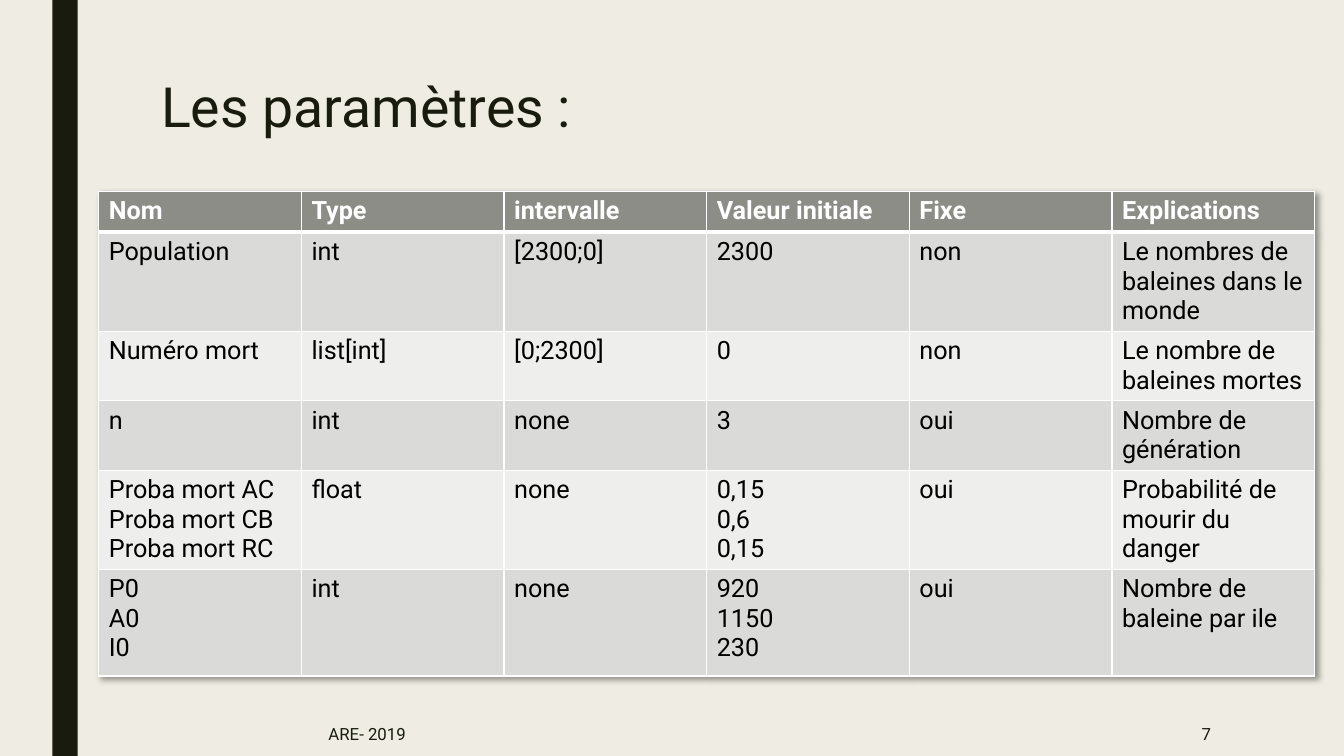
"""Build a slide that tabulates the parameters of a whale population model."""
from dataclasses import dataclass

from lxml.etree import SubElement
from pptx import Presentation
from pptx.dml.color import RGBColor
from pptx.enum.shapes import MSO_SHAPE
from pptx.enum.text import MSO_ANCHOR, PP_ALIGN
from pptx.oxml import parse_xml
from pptx.oxml.ns import nsdecls, qn
from pptx.util import Emu, Inches, Pt

WIDTH, HEIGHT = Inches(13.33), Inches(7.5)
FONT = "Roboto"
PAPER, INK, WHITE, BLACK = "EFEDE3", "191B0E", "FFFFFF", "000000"
HEADER_FILL, BAND_FILLS = "8C8D86", ("DADBD9", "EEEEED")


@dataclass(frozen=True)
class Box:
    """Place on the slide, in percent of its width and height."""

    x: float
    y: float
    w: float
    h: float

    def emu(self) -> tuple[Emu, Emu, Emu, Emu]:
        """Return left, top, width and height."""
        return across(self.x), down(self.y), across(self.w), down(self.h)


@dataclass(frozen=True)
class Label:
    """Free text with its place and format."""

    text: str
    box: Box
    size: float
    anchor: MSO_ANCHOR = MSO_ANCHOR.MIDDLE
    align: PP_ALIGN = PP_ALIGN.LEFT
    spacing: float = 1.0


@dataclass(frozen=True)
class Row:
    """Table row with its height in percent of the slide."""

    height: float
    cells: tuple[str, ...]


BAND = Box(3.9, 0, 1.88, 100)
TABLE = Box(7.35, 25.33, 90.47, 64.1)
LABELS = (
    Label("Les paramètres :", Box(11.25, 10, 32.26, 10.67), 39.6, MSO_ANCHOR.TOP, spacing=0.89),
    Label("ARE- 2019", Box(23.7, 94.13, 51.54, 5.87), 12),
    Label("7", Box(77.72, 94.13, 13.13, 5.87), 12, align=PP_ALIGN.RIGHT),
)
ROWS = (
    Row(5.4, ("Nom", "Type", "intervalle", "Valeur initiale", "Fixe", "Explications")),
    Row(13.1, ("Population", "int", "[2300;0]", "2300", "non",
               "Le nombres de baleines dans le monde")),
    Row(9.2, ("Numéro mort", "list[int]", "[0;2300]", "0", "non",
              "Le nombre de baleines mortes")),
    Row(9.2, ("n", "int", "none", "3", "oui", "Nombre de génération")),
    Row(13.1, ("Proba mort AC\nProba mort CB\nProba mort RC", "float", "none",
               "0,15\n0,6\n0,15", "oui", "Probabilité de mourir du danger")),
    Row(14.1, ("P0\nA0\nI0", "int", "none", "920\n1150\n230", "oui",
               "Nombre de baleine par ile")),
)


def across(share: float) -> Emu:
    """Turn a percentage of the slide's width into a length."""
    return Emu(round(WIDTH * share / 100))


def down(share: float) -> Emu:
    """Turn a percentage of the slide's height into a length."""
    return Emu(round(HEIGHT * share / 100))


def paint(fill, color: str) -> None:
    """Give a fill one solid colour."""
    fill.solid()
    fill.fore_color.rgb = RGBColor.from_string(color)


def write(tf, text: str, *, size: float, color: str, bold: bool = False,
          align: PP_ALIGN = PP_ALIGN.LEFT, spacing: float = 1.0) -> None:
    """Write text into a frame, one paragraph a line."""
    tf.word_wrap = True
    for i, line in enumerate(text.split("\n")):
        p = tf.add_paragraph() if i else tf.paragraphs[0]
        p.alignment, p.line_spacing = align, spacing
        r = p.add_run()
        r.text = line
        r.font.name, r.font.size, r.font.bold = FONT, Pt(size), bold
        r.font.color.rgb = RGBColor.from_string(color)


def add_label(slide, label: Label) -> None:
    """Add a text box."""
    tf = slide.shapes.add_textbox(*label.box.emu()).text_frame
    tf.vertical_anchor = label.anchor
    write(tf, label.text, size=label.size, color=INK, align=label.align, spacing=label.spacing)


def add_borders(cell, top: float, bottom: float) -> None:
    """Draw white lines around a cell, with widths in points."""
    tc_pr = cell._tc.get_or_add_tcPr()
    for side, width in (("L", 1), ("R", 1), ("T", top), ("B", bottom)):
        ln = SubElement(tc_pr, qn(f"a:ln{side}"), w=str(Pt(width)))
        SubElement(SubElement(ln, qn("a:solidFill")), qn("a:srgbClr"), val=WHITE)


def add_shadow(table) -> None:
    """Give the table a soft shadow to the lower right."""
    table._tbl.tblPr.insert(0, parse_xml(
        f'<a:effectLst {nsdecls("a")}><a:outerShdw blurRad="50800" dist="38100" dir="2700000" '
        'algn="tl" rotWithShape="0"><a:srgbClr val="000000"><a:alpha val="40000"/></a:srgbClr>'
        '</a:outerShdw></a:effectLst>'))


def add_parameters(slide) -> None:
    """Add the table of parameters."""
    table = slide.shapes.add_table(len(ROWS), len(ROWS[0].cells), *TABLE.emu()).table
    add_shadow(table)
    for column in table.columns:
        column.width = across(TABLE.w / len(table.columns))
    for i, row in enumerate(ROWS):
        header = i == 0
        table.rows[i].height = down(row.height)
        for j, text in enumerate(row.cells):
            cell = table.cell(i, j)
            add_borders(cell, top=3 if i == 1 else 1, bottom=3 if header else 1)
            paint(cell.fill, HEADER_FILL if header else BAND_FILLS[(i - 1) % 2])
            write(cell.text_frame, text, size=18, color=WHITE if header else BLACK, bold=header)


def main() -> None:
    """Build and save the slide."""
    prs = Presentation()
    prs.slide_width, prs.slide_height = WIDTH, HEIGHT
    slide = prs.slides.add_slide(prs.slide_layouts[6])
    paint(slide.background.fill, PAPER)
    sp = slide.shapes.add_shape(MSO_SHAPE.RECTANGLE, *BAND.emu())
    sp.shadow.inherit = False
    paint(sp.fill, INK)
    sp.line.fill.background()
    add_parameters(slide)
    for label in LABELS:
        add_label(slide, label)
    prs.save("out.pptx")


if __name__ == "__main__":
    main()
